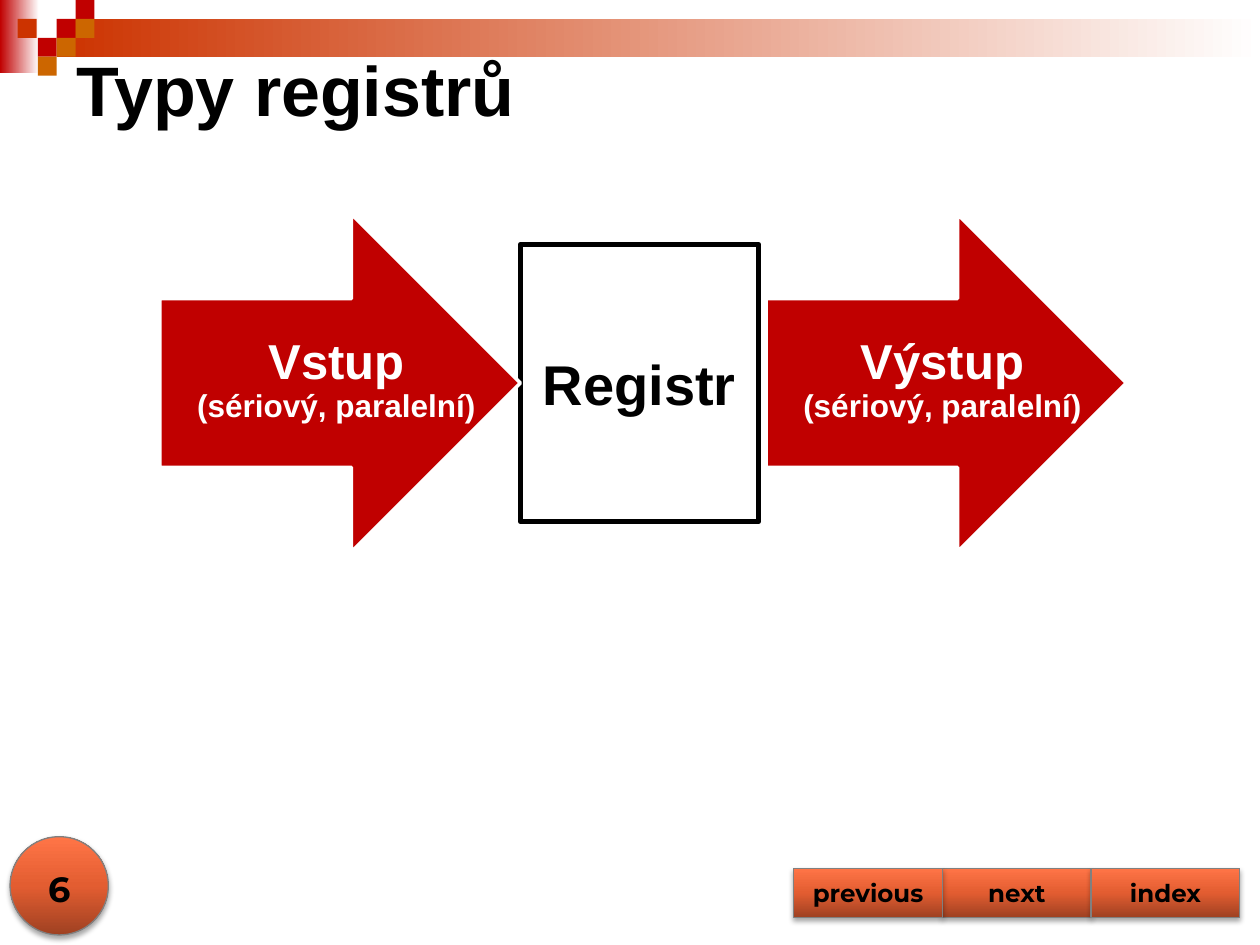
from lxml import etree
from pptx import Presentation
from pptx import util as u
from pptx.dml.color import RGBColor
from pptx.enum import shapes, text
from pptx.oxml.ns import qn

Inches, Pt = u.Inches, u.Pt
KIND = shapes.MSO_SHAPE
BLACK = RGBColor(0x00, 0x00, 0x00)
WHITE = RGBColor(0xFF, 0xFF, 0xFF)
GRAY = RGBColor(0x80, 0x80, 0x80)
RED = RGBColor(0xC0, 0x00, 0x00)
RUST = RGBColor(0xCC, 0x33, 0x00)
OCHRE = RGBColor(0xCC, 0x66, 0x00)
BUTTON = [(0, RGBColor(0x9F, 0x41, 0x22)), (50, RGBColor(0xE3, 0x5D, 0x31)),
          (100, RGBColor(0xFF, 0x75, 0x47))]

prs = Presentation()
prs.slide_width, prs.slide_height = Inches(10), Inches(7.5)
s = prs.slides.add_slide(prs.slide_layouts[6])


def add_box(kind, at, fill, line=None, width=0, angle=0, shadow=False):
    sp = s.shapes.add_shape(kind, *[Inches(v) for v in at])
    if isinstance(fill, list):
        sp.fill.gradient()
        sp.fill.gradient_angle = angle
        stops = sp._element.spPr.find(".//" + qn("a:gsLst"))
        for old in list(stops):
            stops.remove(old)
        for pos, color in fill:
            gs = etree.SubElement(stops, qn("a:gs"), pos=str(pos * 1000))
            etree.SubElement(gs, qn("a:srgbClr"), val=str(color))
    else:
        sp.fill.solid()
        sp.fill.fore_color.rgb = fill
    if line is None:
        sp.line.fill.background()
    else:
        sp.line.color.rgb = line
        sp.line.width = Pt(width)
    sp.shadow.inherit = False
    if shadow:
        effects = sp._element.spPr.find(qn("a:effectLst"))
        outer = etree.SubElement(effects, qn("a:outerShdw"), blurRad=str(Pt(3.1)),
                                 dist=str(Pt(1.8)), dir="5400000", rotWithShape="0")
        color = etree.SubElement(outer, qn("a:srgbClr"), val=str(BLACK))
        etree.SubElement(color, qn("a:alpha"), val="35000")
    return sp


def write(sp, words, sizes, font="Arial", color=BLACK, align=text.PP_ALIGN.CENTER,
          anchor=text.MSO_ANCHOR.MIDDLE):
    tf = sp.text_frame
    tf.word_wrap = True
    tf.vertical_anchor = anchor
    p = tf.paragraphs[0]
    p.text = words
    p.alignment = align
    for r, size in zip(p.runs, sizes):
        r.font.name = font
        r.font.size = Pt(size)
        r.font.bold = True
        r.font.color.rgb = color
    return tf


add_box(KIND.RECTANGLE, (0, 0, 0.31, 0.58), [(0, RED), (100, WHITE)])
add_box(KIND.RECTANGLE, (0.45, 0.15, 9.55, 0.3), [(0, RUST), (100, WHITE)])
for x, y, color in [(0.45, 0.15, RED), (0.6, 0, RED), (0.6, 0.15, OCHRE), (0.3, 0.3, RED),
                    (0.14, 0.15, RUST), (0.45, 0.3, OCHRE), (0.3, 0.45, OCHRE)]:
    add_box(KIND.RECTANGLE, (x, y, 0.15, 0.15), color)

title = s.shapes.add_textbox(Inches(0.51), Inches(0.31), Inches(8.5), Inches(0.79))
write(title, "Typy registrů", [40], align=text.PP_ALIGN.LEFT)

register = add_box(KIND.RECTANGLE, (4.13, 1.94, 1.89, 2.2), WHITE, BLACK, 3)
write(register, "Registr", [32])

add_box(KIND.OVAL, (0.08, 6.64, 0.78, 0.78), BUTTON, GRAY, 0.75, 90, True)
number = s.shapes.add_textbox(0, Inches(6.77), Inches(0.94), Inches(0.5))
write(number, "6", [20], "Montserrat", anchor=text.MSO_ANCHOR.BOTTOM)

for column, label in [(1, "next"), (0, "previous"), (2, "index")]:
    button = add_box(KIND.ACTION_BUTTON_CUSTOM, (6.3 + column * 1.18, 6.89, 1.18, 0.39),
                     BUTTON, GRAY, 0.75, 90, True)
    tf = write(button, label, [14], "Montserrat")
    tf.margin_left = tf.margin_right = 0

for x, label in [(1.27, "Vstup"), (6.08, "Výstup")]:
    add_box(KIND.RIGHT_ARROW, (x, 1.7, 2.86, 2.68), RED, WHITE, 2)
    caption = s.shapes.add_textbox(Inches(x + 0.23), Inches(2.37), Inches(2.34), Inches(1.3))
    tf = write(caption, label + "\v(sériový, paralelní)", [28, 18], color=WHITE)
    tf.margin_left = tf.margin_right = 0
    tf.margin_top = tf.margin_bottom = Inches(0.31)
    tf.paragraphs[0].line_spacing = 0.9

prs.save("out.pptx")
